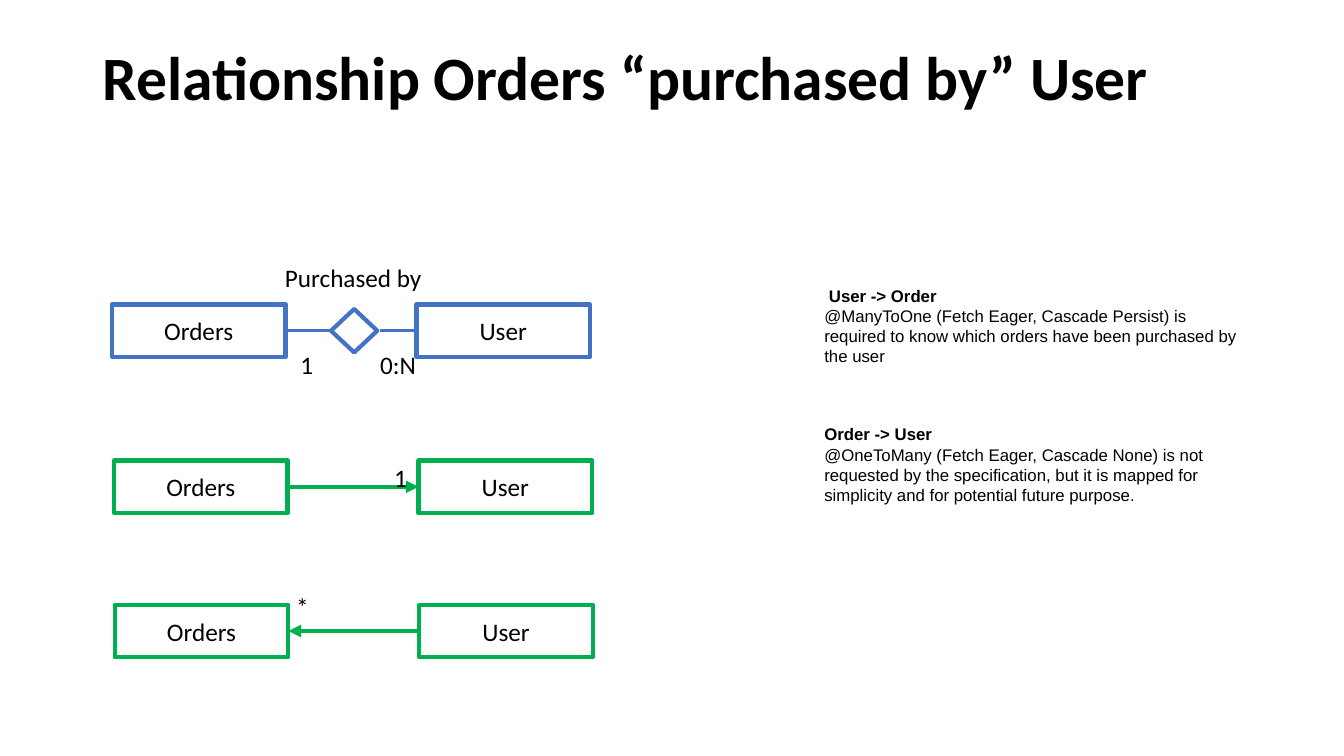
from dataclasses import dataclass

from lxml.etree import SubElement
from pptx import Presentation
from pptx.dml.color import RGBColor
from pptx.enum.shapes import MSO_CONNECTOR, MSO_SHAPE
from pptx.enum.text import MSO_ANCHOR, MSO_AUTO_SIZE, PP_ALIGN
from pptx.oxml.ns import qn
from pptx.util import Pt


@dataclass(frozen=True)
class Theme:
    ink: RGBColor = RGBColor(0, 0, 0)
    paper: RGBColor = RGBColor(255, 255, 255)
    er_blue: RGBColor = RGBColor(0x44, 0x72, 0xC4)
    mapping_green: RGBColor = RGBColor(0, 0xB0, 0x50)
    diagram_font: str = "Calibri"
    remark_font: str = "Arial"
    title_size: float = 44
    label_size: float = 18
    remark_size: float = 12
    outline: float = 3
    er_link: float = 2.25


THEME = Theme()
ENTITY_WIDTH, ENTITY_HEIGHT = 124, 37.5
USER_OFFSET = 217.5  # from the left of Orders to the left of User


def write(frame, text, size=THEME.label_size, font=THEME.diagram_font,
          bold=False, align=PP_ALIGN.LEFT, spacing=None, before=0, more=False):
    """Write one paragraph; more=True adds it below the existing ones."""
    paragraph = frame.add_paragraph() if more else frame.paragraphs[0]
    paragraph.alignment = align
    paragraph.line_spacing = spacing
    paragraph.space_before = Pt(before)
    run = paragraph.add_run()
    run.text = text
    run.font.size = Pt(size)
    run.font.name = font
    run.font.bold = bold
    run.font.color.rgb = THEME.ink


def add_frame(slide, left, top, width, height, anchor=MSO_ANCHOR.TOP, wrap=True):
    frame = slide.shapes.add_textbox(Pt(left), Pt(top), Pt(width), Pt(height)).text_frame
    frame.word_wrap = wrap
    frame.vertical_anchor = anchor
    frame.auto_size = MSO_AUTO_SIZE.NONE if wrap else MSO_AUTO_SIZE.SHAPE_TO_FIT_TEXT
    return frame


def add_label(slide, text, left, top, width):
    write(add_frame(slide, left, top, width, 29, wrap=False), text)


def add_outlined(slide, kind, left, top, width, height, color, fill=None):
    shape = slide.shapes.add_shape(kind, Pt(left), Pt(top), Pt(width), Pt(height))
    shape.shadow.inherit = False
    shape.line.color.rgb = color
    shape.line.width = Pt(THEME.outline)
    if fill is None:
        shape.fill.background()
    else:
        shape.fill.solid()
        shape.fill.fore_color.rgb = fill
    return shape


def add_entities(slide, left, top, color, fill=None):
    """Draw Orders and User; return their facing edges and the middle height."""
    for entity, offset in (("Orders", 0), ("User", USER_OFFSET)):
        box = add_outlined(slide, MSO_SHAPE.RECTANGLE, left + offset, top,
                           ENTITY_WIDTH, ENTITY_HEIGHT, color, fill)
        box.text_frame.vertical_anchor = MSO_ANCHOR.MIDDLE
        write(box.text_frame, entity, align=PP_ALIGN.CENTER)
    return left + ENTITY_WIDTH, left + USER_OFFSET, top + ENTITY_HEIGHT / 2


def add_link(slide, start, end, y, color, width, arrow=False):
    link = slide.shapes.add_connector(MSO_CONNECTOR.STRAIGHT,
                                      Pt(start), Pt(y), Pt(end), Pt(y))
    link.line.color.rgb = color
    link.line.width = Pt(width)
    properties = link._element.spPr
    if arrow:
        SubElement(properties.find(qn("a:ln")), qn("a:tailEnd"), type="triangle")
    SubElement(properties, qn("a:effectLst"))


def add_er_relationship(slide):
    blue = THEME.er_blue
    orders_edge, user_edge, middle = add_entities(slide, 80, 217.5, blue, THEME.paper)
    left, width, height = 236.5, 33, 31
    add_outlined(slide, MSO_SHAPE.DIAMOND, left, middle - height / 2,
                 width, height, blue, THEME.paper)
    add_link(slide, orders_edge, left, middle, blue, THEME.er_link)
    add_link(slide, left + width + 2, user_edge, middle, blue, THEME.er_link)
    add_label(slide, "Purchased by", 196.5, 183.5, 113)
    add_label(slide, "1", 207.5, 246, 24)
    add_label(slide, "0:N", 264.5, 246, 40)


def add_mapping(slide, left, top, to_user):
    green = THEME.mapping_green
    orders_edge, user_edge, middle = add_entities(slide, left, top, green)
    start, end = (orders_edge, user_edge) if to_user else (user_edge, orders_edge)
    add_link(slide, start, end, middle, green, THEME.outline, arrow=True)


def add_remarks(slide, remarks):
    frame = add_frame(slide, 581.75, 198.75, 312.5, 167, anchor=MSO_ANCHOR.MIDDLE)
    style = dict(size=THEME.remark_size, font=THEME.remark_font)
    for index, (heading, body) in enumerate(remarks):
        write(frame, heading, bold=True, before=41.5 * index, more=index > 0, **style)
        write(frame, body, more=True, **style)


def main():
    deck = Presentation()
    deck.slide_width, deck.slide_height = Pt(960), Pt(540)
    slide = deck.slides.add_slide(deck.slide_layouts[6])

    # Title
    title = add_frame(slide, 66.25, 30, 828, 104.5)
    write(title, "Relationship Orders “purchased by” User",
          size=THEME.title_size, bold=True, spacing=0.9)

    # Remarks on each direction
    add_remarks(slide, [
        (" User -> Order",
         "@ManyToOne (Fetch Eager, Cascade Persist) is required to know which "
         "orders have been purchased by the user"),
        ("Order -> User",
         "@OneToMany (Fetch Eager, Cascade None) is not requested by the "
         "specification, but it is mapped for simplicity and for potential "
         "future purpose."),
    ])

    # Entity-relationship diagram
    add_er_relationship(slide)

    # Mapping in each direction
    add_mapping(slide, 81.5, 329, to_user=True)
    add_mapping(slide, 82, 432, to_user=False)
    add_label(slide, "1", 274.5, 327, 24)
    add_label(slide, "*", 204.5, 419, 24)

    deck.save("out.pptx")


main()
